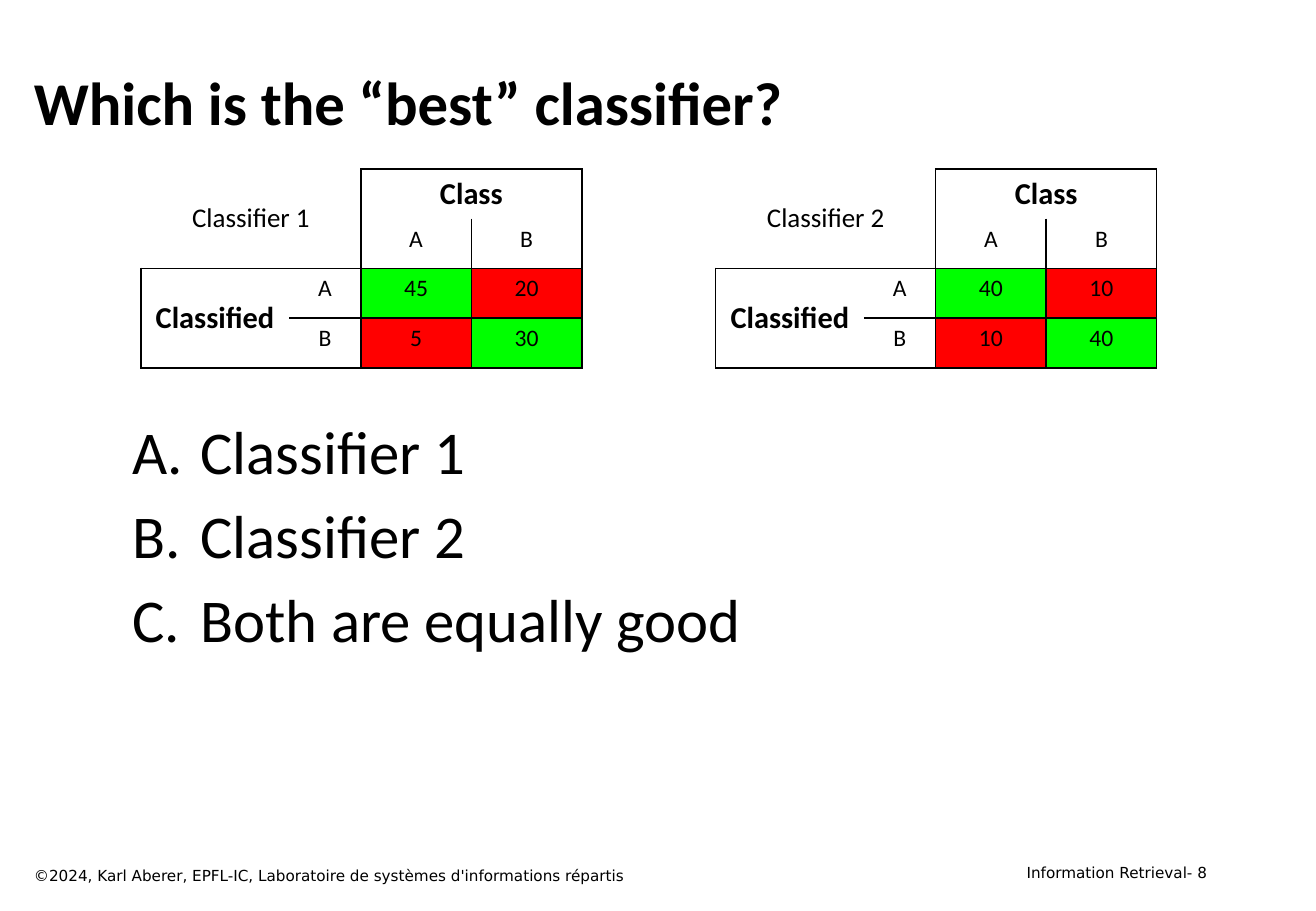
from lxml import etree
from pptx import Presentation
from pptx import util as u
from pptx.dml.color import RGBColor
from pptx.enum import text
from pptx.oxml import ns

BLACK = RGBColor(0, 0, 0)
GREEN = RGBColor(0, 255, 0)
RED = RGBColor(255, 0, 0)

TITLE = {"name": "Calibri", "size": u.Pt(36), "bold": True}
ANSWER = {"name": "Calibri", "size": u.Pt(36)}
FOOTER = {"name": "DejaVu Sans", "size": u.Pt(9)}
CAPTION = {"name": "Calibri", "size": u.Pt(16), "bold": False}
HEADING = {"name": "Calibri", "size": u.Pt(18), "bold": True}
ENTRY = {"name": "Calibri", "size": u.Pt(14), "bold": False}

COLUMN_WIDTHS = (1.22, 0.59, 0.91, 0.91)
ROW_HEIGHT = 0.41
EDGES = (
    ("RB", "RB", "LTR", "LTR"),
    ("RB", "RB", "LRB", "LRB"),
    ("LTB", "TRB", "LTRB", "LTRB"),
    ("LTB", "TRB", "LTRB", "LTRB"),
)


def write(para, words, style, align=text.PP_ALIGN.LEFT):
    para.alignment = align
    span = para.add_run()
    span.text = words
    span.font.color.rgb = BLACK
    for name, value in style.items():
        setattr(span.font, name, value)


def add_box(page, left, top, width, height, anchor=text.MSO_ANCHOR.TOP):
    box = page.shapes.add_textbox(*map(u.Inches, (left, top, width, height)))
    frame = box.text_frame
    frame.word_wrap = True
    frame.vertical_anchor = anchor
    return frame


def add_answers(page, answers):
    frame = add_box(page, 0.61, 3.36, 9.08, 3.61)
    for index, answer in enumerate(answers):
        para = frame.add_paragraph() if index else frame.paragraphs[0]
        properties = para._p.get_or_add_pPr()
        properties.set("marL", str(u.Inches(0.94)))
        properties.set("indent", str(u.Inches(-0.56)))
        number = etree.SubElement(properties, ns.qn("a:buAutoNum"))
        number.set("type", "alphaUcPeriod")
        para.space_before = u.Pt(6.5 if index else 0)
        write(para, answer, ANSWER)


def set_borders(cell, edges):
    properties = cell._tc.get_or_add_tcPr()
    for side in "LRTB":
        line = etree.SubElement(properties, ns.qn("a:ln" + side))
        line.set("w", str(u.Pt(1)))
        if side in edges:
            fill = etree.SubElement(line, ns.qn("a:solidFill"))
            etree.SubElement(fill, ns.qn("a:srgbClr")).set("val", str(BLACK))
        else:
            etree.SubElement(line, ns.qn("a:noFill"))


def add_matrix(page, left, caption, counts):
    size = len(EDGES)
    table = page.shapes.add_table(
        size, size, u.Inches(left), u.Inches(1.39),
        u.Inches(sum(COLUMN_WIDTHS)), u.Inches(size * ROW_HEIGHT)).table
    table.first_row = False
    table.horz_banding = False
    for column, width in zip(table.columns, COLUMN_WIDTHS):
        column.width = u.Inches(width)
    for row in table.rows:
        row.height = u.Inches(ROW_HEIGHT)

    for row, row_edges in enumerate(EDGES):
        for column, edges in enumerate(row_edges):
            cell = table.cell(row, column)
            set_borders(cell, edges)
            if row >= 2 and column >= 2:
                cell.fill.solid()
                cell.fill.fore_color.rgb = GREEN if row == column else RED
            else:
                cell.fill.background()

    headings = (
        ((0, 0), (1, 1), caption, CAPTION),
        ((0, 2), (0, 3), "Class", HEADING),
        ((2, 0), (3, 0), "Classified", HEADING),
    )
    for first, last, words, style in headings:
        cell = table.cell(*first)
        cell.merge(table.cell(*last))
        cell.vertical_anchor = text.MSO_ANCHOR.MIDDLE
        write(cell.text_frame.paragraphs[0], words, style, text.PP_ALIGN.CENTER)

    entries = {(1, 2): "A", (1, 3): "B", (2, 1): "A", (3, 1): "B"}
    for row, values in enumerate(counts, 2):
        for column, value in enumerate(values, 2):
            entries[row, column] = str(value)
    for position, words in entries.items():
        para = table.cell(*position).text_frame.paragraphs[0]
        write(para, words, ENTRY, text.PP_ALIGN.CENTER)


def main():
    deck = Presentation()
    deck.slide_width = u.Inches(10.83)
    deck.slide_height = u.Inches(7.5)
    page = deck.slides.add_slide(deck.slide_layouts[6])

    title = add_box(page, 0.18, 0.33, 9.84, 1, text.MSO_ANCHOR.MIDDLE)
    write(title.paragraphs[0], "Which is the “best” classifier?", TITLE)
    add_matrix(page, 1.16, "Classifier 1", ((45, 20), (5, 30)))
    add_matrix(page, 5.89, "Classifier 2", ((40, 10), (10, 40)))
    add_answers(page, ("Classifier 1", "Classifier 2", "Both are equally good"))

    credit = add_box(page, 0.18, 7.08, 6.95, 0.25)
    write(credit.paragraphs[0],
          "©2024, Karl Aberer, EPFL-IC, Laboratoire de systèmes d'informations répartis",
          FOOTER)
    course = add_box(page, 7.77, 7.06, 2.26, 0.25)
    write(course.paragraphs[0], "Information Retrieval- 8", FOOTER, text.PP_ALIGN.RIGHT)
    deck.save("out.pptx")


if __name__ == "__main__":
    main()
